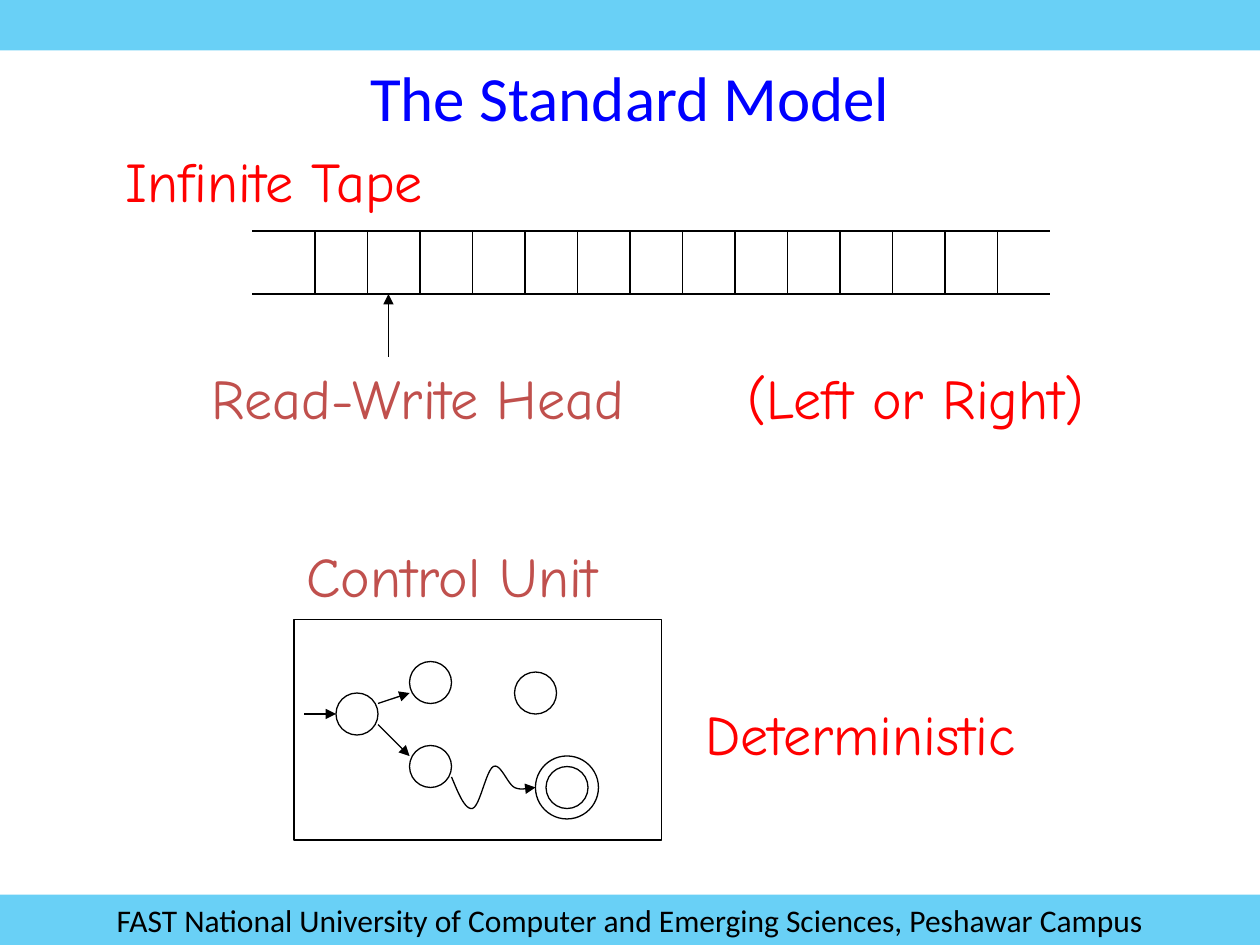
from dataclasses import dataclass

from lxml.etree import SubElement
from pptx import Presentation
from pptx.dml.color import RGBColor
from pptx.enum.shapes import MSO_CONNECTOR, MSO_SHAPE
from pptx.enum.text import MSO_ANCHOR, MSO_AUTO_SIZE, PP_ALIGN
from pptx.oxml.ns import qn
from pptx.util import Pt


@dataclass(frozen=True)
class Theme:
    band: RGBColor = RGBColor(0x00, 0xB0, 0xF0)
    band_alpha: int = 59
    ink: RGBColor = RGBColor(0, 0, 0)
    title: RGBColor = RGBColor(0x00, 0x00, 0xFF)
    component: RGBColor = RGBColor(0xC0, 0x50, 0x4D)
    feature: RGBColor = RGBColor(0xFF, 0x00, 0x00)
    text_font: str = "Calibri"
    label_font: str = "Comic Neue"
    title_size: int = 36
    label_size: int = 32
    footer_size: int = 18
    line_width: float = 0.75


THEME = Theme()
WIDTH, HEIGHT = 720, 540
BAND_HEIGHT = 28.8


def style_text(tf, text, font, size, color, align):
    tf.text = text
    p = tf.paragraphs[0]
    p.alignment = align
    f = p.runs[0].font
    f.name, f.size, f.color.rgb = font, Pt(size), color


def style_line(sp, arrow=False):
    sp.line.color.rgb = THEME.ink
    sp.line.width = Pt(THEME.line_width)
    if arrow:
        ln = sp._element.spPr.find(qn("a:ln"))
        SubElement(ln, qn("a:tailEnd"), type="triangle")


def add_line(s, x1, y1, x2, y2, arrow=False):
    c = s.shapes.add_connector(
        MSO_CONNECTOR.STRAIGHT, Pt(x1), Pt(y1), Pt(x2), Pt(y2))
    style_line(c, arrow)
    SubElement(c._element.spPr, qn("a:effectLst"))


def add_outline(s, kind, x, y, w, h):
    sp = s.shapes.add_shape(kind, Pt(x), Pt(y), Pt(w), Pt(h))
    sp.shadow.inherit = False
    sp.fill.background()
    style_line(sp)


def add_band(s, y, text=None):
    sp = s.shapes.add_shape(
        MSO_SHAPE.RECTANGLE, 0, Pt(y), Pt(WIDTH), Pt(BAND_HEIGHT))
    sp.shadow.inherit = False
    sp.fill.solid()
    sp.fill.fore_color.rgb = THEME.band
    color = sp._element.spPr.find(qn("a:solidFill"))[0]
    SubElement(color, qn("a:alpha"), val=str(THEME.band_alpha * 1000))
    sp.line.fill.background()
    if text:
        style_text(sp.text_frame, text, THEME.text_font, THEME.footer_size,
                   THEME.ink, PP_ALIGN.CENTER)


def set_title(s, text, x, y, w, h):
    sp = s.shapes.title
    sp.left, sp.top, sp.width, sp.height = Pt(x), Pt(y), Pt(w), Pt(h)
    tf = sp.text_frame
    tf.auto_size = MSO_AUTO_SIZE.NONE
    tf.vertical_anchor = MSO_ANCHOR.TOP
    style_text(tf, text, THEME.text_font, THEME.title_size,
               THEME.title, PP_ALIGN.CENTER)


def add_label(s, text, color, x, y, w, h=45.5):
    tf = s.shapes.add_textbox(Pt(x), Pt(y), Pt(w), Pt(h)).text_frame
    tf.word_wrap = False
    tf.auto_size = MSO_AUTO_SIZE.SHAPE_TO_FIT_TEXT
    style_text(tf, text, THEME.label_font, THEME.label_size,
               color, PP_ALIGN.LEFT)


def add_tape(s, x, y, w, h):
    """Draw an open-ended tape with its cell dividers and the head below."""
    margin, cell, dividers, head = 36, 30, 14, 78
    for edge in (y, y + h):
        add_line(s, x, edge, x + w, edge)
    for i in range(dividers):
        divider = x + margin + i * cell
        add_line(s, divider, y, divider, y + h)
    add_line(s, x + head, y + 2 * h, x + head, y + h, arrow=True)


def bezier(p0, p1, p2, p3, steps=12):
    """Return the points of a cubic curve after its start."""
    points = []
    for i in range(1, steps + 1):
        t = i / steps
        u = 1 - t
        weights = (u ** 3, 3 * u * u * t, 3 * u * t * t, t ** 3)
        points.append(tuple(
            sum(k * v for k, v in zip(weights, axis))
            for axis in zip(p0, p1, p2, p3)))
    return points


def add_wavy_arrow(s, x, y):
    start = (90, 90)
    curves = [
        ((94, 99.6), (97.8, 109), (102, 108)),
        ((106.2, 107), (109.8, 86), (114, 84)),
        ((118, 82), (122, 94), (126, 96)),
        ((130, 98), (134, 96), (138, 96)),
    ]
    points = [start]
    for curve in curves:
        points += bezier(points[-1], *curve)
    points = [(Pt(x + px), Pt(y + py)) for px, py in points]
    builder = s.shapes.build_freeform(*points[0])
    builder.add_line_segments(points[1:], close=False)
    sp = builder.convert_to_shape()
    sp.shadow.inherit = False
    sp.fill.background()
    style_line(sp, arrow=True)


def add_control_unit(s, x, y, w, h):
    """Draw the boxed state diagram."""
    state, accepting = 24, 36
    add_outline(s, MSO_SHAPE.RECTANGLE, x, y, w, h)
    circles = [(24, 42, state), (66, 24, state), (66, 72, state),
               (126, 30, state), (144, 84, state), (138, 78, accepting)]
    for dx, dy, d in circles:
        add_outline(s, MSO_SHAPE.OVAL, x + dx, y + dy, d, d)
    for x1, y1, x2, y2 in [(6, 54, 24, 54), (48, 48, 66, 42),
                           (48, 60, 66, 78)]:
        add_line(s, x + x1, y + y1, x + x2, y + y2, arrow=True)
    add_wavy_arrow(s, x, y)


def main():
    prs = Presentation()
    prs.slide_width, prs.slide_height = Pt(WIDTH), Pt(HEIGHT)
    s = prs.slides.add_slide(prs.slide_layouts[5])
    add_band(s, 0)
    add_band(s, HEIGHT - BAND_HEIGHT,
             "FAST National University of Computer and Emerging Sciences, "
             "Peshawar Campus")
    set_title(s, "The Standard Model", 12, 30, 696, 48)
    add_tape(s, 144, 132, 456, 36)
    add_control_unit(s, 168, 354, 210, 126)
    for text, color, x, y, w in [
        ("Infinite Tape", THEME.feature, 64.8, 80, 214.5),
        ("Read-Write Head", THEME.component, 114, 204, 278),
        ("(Left or Right)", THEME.feature, 420, 204, 235.5),
        ("Control Unit", THEME.component, 168, 306, 197.5),
        ("Deterministic", THEME.feature, 396, 396, 219),
    ]:
        add_label(s, text, color, x, y, w)
    prs.save("out.pptx")


if __name__ == "__main__":
    main()
